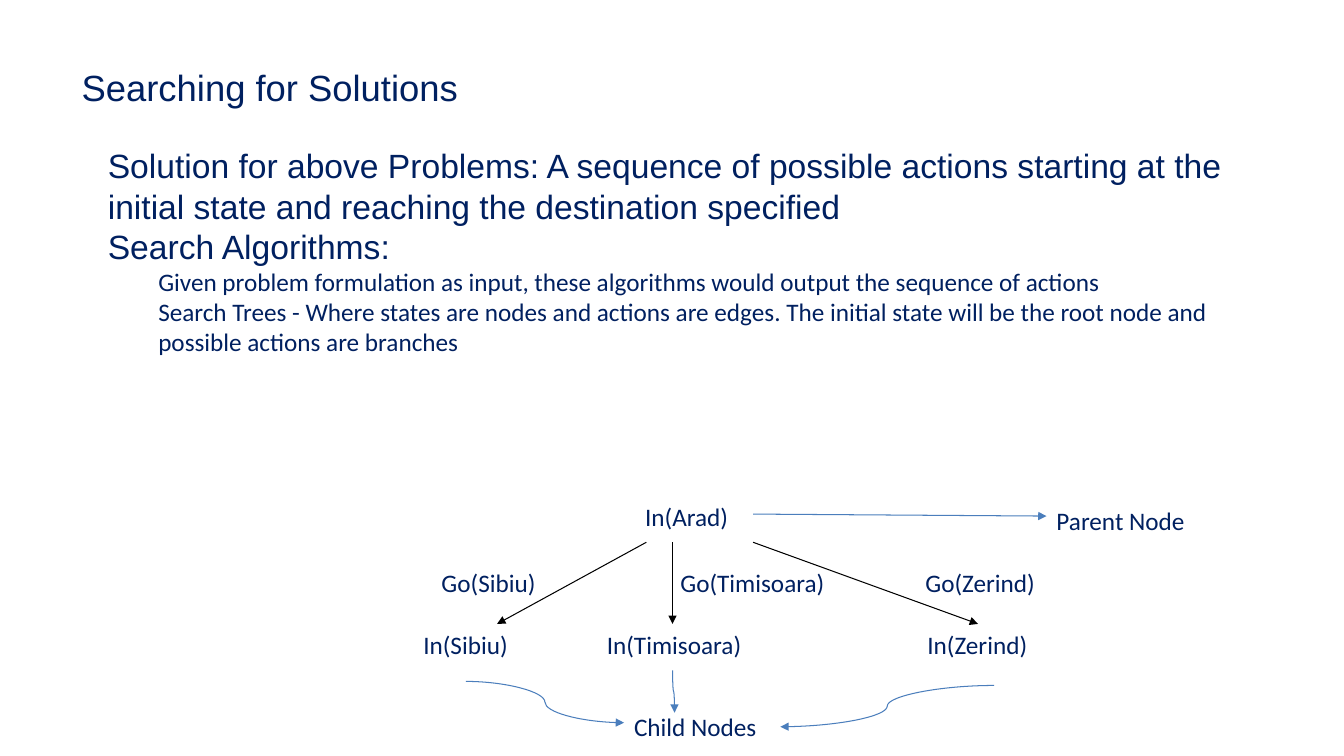
import pptx
import pptx.util
import pptx.dml.color
import pptx.enum.shapes
import pptx.enum.text
import pptx.oxml
from pptx.util import Inches, Pt

COLORS = {"navy": "002060", "blue": "4B7EBC", "black": "000000"}
LINE = pptx.enum.shapes.MSO_CONNECTOR
TITLE = {"name": "Arial", "size": Pt(26)}
BODY = {"name": "Arial", "size": Pt(24)}
LABEL = {"name": "Calibri", "size": Pt(18)}


def rgb(name):
    return pptx.dml.color.RGBColor.from_string(COLORS[name])


def add_text(s, box, paragraphs, inset=0.0, wrap=True):
    """Place (text, font format, indent in inches) paragraphs in a box."""
    sp = s.shapes.add_textbox(*map(Inches, box))
    tf = sp.text_frame
    tf.word_wrap = wrap
    if wrap:
        for side in ("left", "top", "right", "bottom"):
            setattr(tf, f"margin_{side}", Inches(inset))
    else:
        tf.auto_size = pptx.enum.text.MSO_AUTO_SIZE.SHAPE_TO_FIT_TEXT
    for i, (text, font, indent) in enumerate(paragraphs):
        p = tf.add_paragraph() if i else tf.paragraphs[0]
        if indent:
            p.level = 1
            p._p.get_or_add_pPr().set("marL", str(Inches(indent)))
            p._p.get_or_add_pPr().set("indent", "0")
        r = p.add_run()
        r.text = text
        for key, value in font.items():
            setattr(r.font, key, value)
        r.font.color.rgb = rgb("navy")
    return sp


def add_arrow(s, x, y, start, end, color, kind=LINE.STRAIGHT, turned=False):
    """Draw an arrow between points relative to (x, y); turned makes a curve leave downwards."""
    (x1, y1), (x2, y2) = start, end
    if turned:
        cx, cy = (x1 + x2) / 2, (y1 + y2) / 2
        half_w, half_h = (y2 - y1) / 2, (x2 - x1) / 2
        x1, y1, x2, y2 = cx + half_w, cy - half_h, cx - half_w, cy + half_h
    c = s.shapes.add_connector(kind, Inches(x + x1), Inches(y + y1),
                               Inches(x + x2), Inches(y + y2))
    spPr = c._element.spPr
    if turned:
        spPr.find(pptx.oxml.ns.qn("a:xfrm")).set("rot", str(270 * 60000))
    c.line.color.rgb = rgb(color)
    c.line.width = Pt(0.75)
    ln = c.line._get_or_add_ln()
    ln.append(pptx.oxml.parse_xml(
        f'<a:tailEnd {pptx.oxml.ns.nsdecls("a")} type="triangle"/>'))
    spPr.append(pptx.oxml.parse_xml(f'<a:effectLst {pptx.oxml.ns.nsdecls("a")}/>'))
    return c


def add_heading(s, box):
    add_text(s, box, [("Searching for Solutions", TITLE, 0)])


def add_body(s, box):
    add_text(s, box, [
        ("Solution for above Problems: A sequence of possible actions starting at the "
         "initial state and reaching the destination specified", BODY, 0),
        ("Search Algorithms:", BODY, 0),
        ("Given problem formulation as input, these algorithms would output the "
         "sequence of actions", LABEL, 0.5),
        ("Search Trees - Where states are nodes and actions are edges. The initial state "
         "will be the root node and possible actions are branches", LABEL, 0.5),
    ])


def add_search_tree(s, x, y):
    """Draw the tree with its top left corner at (x, y)."""
    height, action_y, state_y = 0.4, 0.66, 1.27
    labels = [
        ("In(Arad)", 2.2, 0, 1.03),
        ("Parent Node", 6.28, 0.04, 1.49),
        ("Child Nodes", 2.09, 2.09, 1.43),
    ]
    cities = [  # name, action left and width, state left and width
        ("Sibiu", 0.18, 1.15, 0, 1.05),
        ("Timisoara", 2.55, 1.64, 1.82, 1.55),
        ("Zerind", 4.98, 1.3, 5, 1.2),
    ]
    for city, action_x, action_w, state_x, state_w in cities:
        labels.append((f"Go({city})", action_x, action_y, action_w))
        labels.append((f"In({city})", state_x, state_y, state_w))
    nodes = {text: add_text(s, (x + left, y + top, width, height),
                            [(text, LABEL, 0)], wrap=False)
             for text, left, top, width in labels}

    branches = [add_arrow(s, x, y, (x1, 0.46), (x2, state_y), "black")
                for x1, x2 in ((2.31, 0.83), (2.57, 2.57), (3.37, 5.6))]
    branches[-1].end_connect(nodes["In(Zerind)"], 0)

    add_arrow(s, x, y, (3.37, 0.18), (6.28, 0.2), "blue")
    add_arrow(s, x, y, (0.52, 1.84), (2.09, 2.25), "blue", LINE.CURVE)
    add_arrow(s, x, y, (2.57, 1.73), (2.59, 2.15), "blue", LINE.CURVE, turned=True)
    add_arrow(s, x, y, (5.76, 1.88), (3.64, 2.29), "blue", LINE.CURVE)


def main():
    prs = pptx.Presentation()
    prs.slide_width, prs.slide_height = Inches(13.33), Inches(7.5)
    s = prs.slides.add_slide(prs.slide_layouts[6])
    add_heading(s, (0.81, 0.65, 11.72, 0.68))
    add_body(s, (1.07, 1.44, 11.5, 4.76))
    add_search_tree(s, 4.1, 4.92)
    prs.save("out.pptx")


if __name__ == "__main__":
    main()
